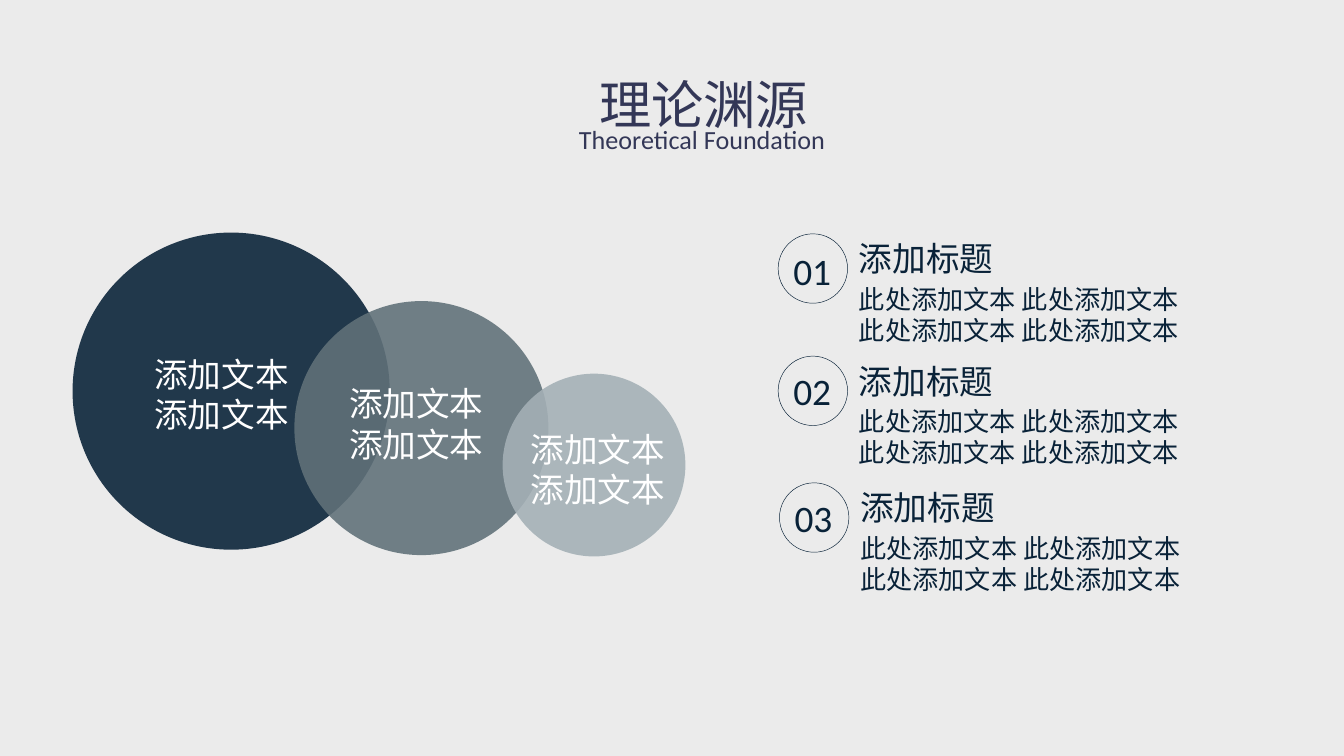
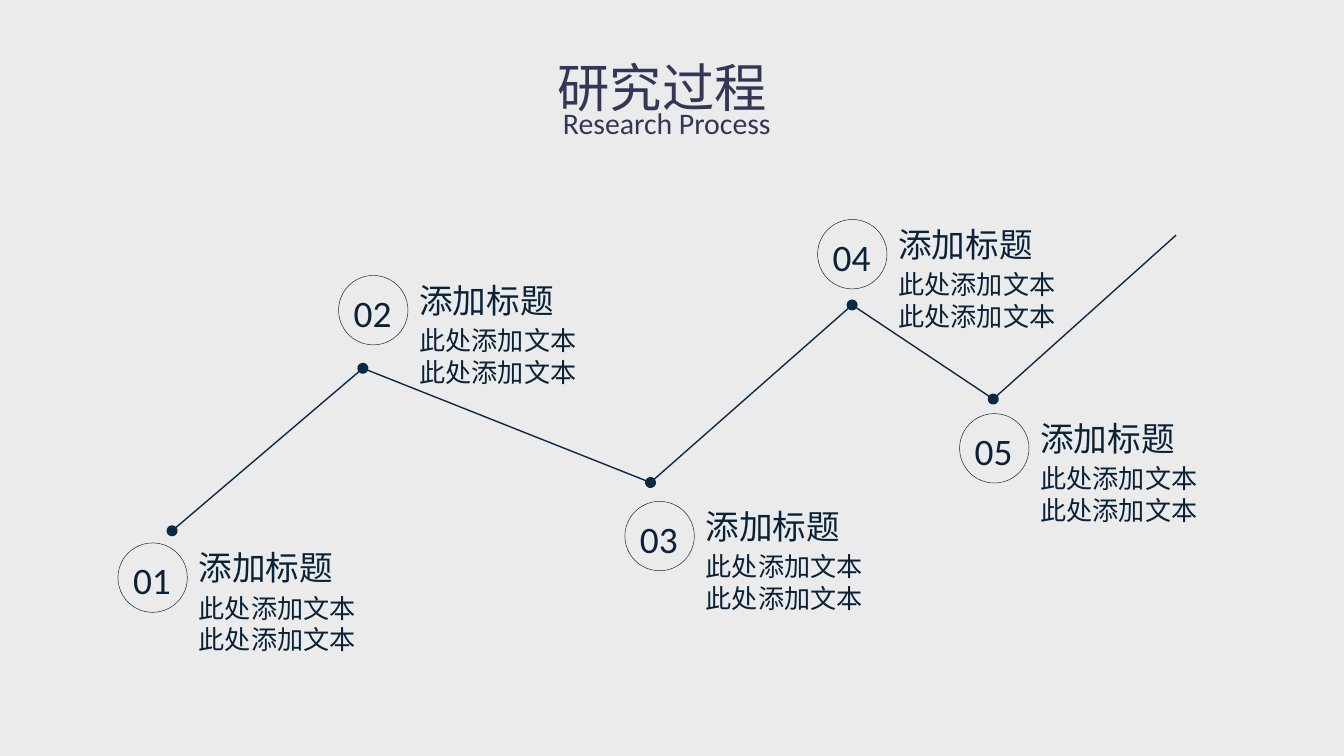
"""Two slides: overlapping circles with a numbered list, and a zigzag process."""
import itertools

import lxml.etree
import pptx
import pptx.dml.color
import pptx.enum.shapes
import pptx.enum.text
import pptx.oxml.ns
import pptx.util

Pt = pptx.util.Pt
RGBColor = pptx.dml.color.RGBColor

BACKGROUND = RGBColor(0xEB, 0xEB, 0xEB)
NAVY = RGBColor(0x09, 0x22, 0x38)
LINE_NAVY = RGBColor(0x0B, 0x29, 0x45)
SLATE = RGBColor(0x60, 0x71, 0x79)
MIST = RGBColor(0xA4, 0xB0, 0xB6)
INDIGO = RGBColor(0x33, 0x37, 0x57)
WHITE = RGBColor(0xFF, 0xFF, 0xFF)
CHINESE_FONT = "Noto Sans CJK SC"
LATIN_FONT = "Calibri"
BADGE_SIZE = 37.2


def add_xml(parent, tag, **attributes):
    """Append a drawing element to parent."""
    return lxml.etree.SubElement(parent, pptx.oxml.ns.qn(tag), attributes)


def write_text(shape, text, size, color, font=CHINESE_FONT):
    """Fill a shape with left-aligned text, one paragraph per line."""
    frame = shape.text_frame
    frame.word_wrap = True
    frame.auto_size = pptx.enum.text.MSO_AUTO_SIZE.NONE
    frame.vertical_anchor = pptx.enum.text.MSO_ANCHOR.TOP
    frame.margin_left = frame.margin_right = Pt(7.2)
    frame.margin_top = frame.margin_bottom = Pt(3.6)
    if font == CHINESE_FONT:
        frame.margin_top = Pt(3.6 + 0.08 * size)
    for index, line in enumerate(text.split("\n")):
        paragraph = frame.add_paragraph() if index else frame.paragraphs[0]
        paragraph.alignment = pptx.enum.text.PP_ALIGN.LEFT
        run = paragraph.add_run()
        run.text = line
        run.font.size = Pt(size)
        run.font.color.rgb = color
        run.font.name = font
        if font == CHINESE_FONT:
            paragraph.line_spacing = Pt(1.2 * size)
            add_xml(run._r.get_or_add_rPr(), "a:ea", typeface=font)


class Deck:
    """Holds the presentation, its style and the current slide."""

    def __init__(self):
        """Start an empty widescreen presentation."""
        self.presentation = pptx.Presentation()
        self.presentation.slide_width = Pt(720)
        self.presentation.slide_height = Pt(405)
        fill = self.presentation.slide_master.background.fill
        fill.solid()
        fill.fore_color.rgb = BACKGROUND
        self.slide = None

    def new_slide(self, title, left, top):
        """Add a slide with its title."""
        layout = self.presentation.slide_layouts.get_by_name("Title Only")
        self.slide = self.presentation.slides.add_slide(layout)
        shape = self.slide.shapes.title
        shape.left, shape.top = Pt(left), Pt(top)
        shape.width, shape.height = Pt(159), Pt(41)
        write_text(shape, title, 28, INDIGO)

    def text(self, text, left, top, width, height, size, **style):
        """Add a text box."""
        box = self.slide.shapes.add_textbox(
            Pt(left), Pt(top), Pt(width), Pt(height))
        write_text(box, text, size, style.pop("color", NAVY), **style)

    def circle(self, left, top, diameter):
        """Add a plain circle without fill or line."""
        shape = self.slide.shapes.add_shape(
            pptx.enum.shapes.MSO_SHAPE.FLOWCHART_CONNECTOR,
            Pt(left), Pt(top), Pt(diameter), Pt(diameter))
        shape.shadow.inherit = False
        shape.fill.background()
        shape.line.fill.background()
        return shape

    def disc(self, left, top, diameter, color):
        """Add a slightly transparent filled circle."""
        shape = self.circle(left, top, diameter)
        shape.fill.solid()
        shape.fill.fore_color.rgb = color
        solid_fill = shape._element.spPr.find(pptx.oxml.ns.qn("a:solidFill"))
        add_xml(solid_fill[0], "a:alpha", val="89000")

    def step(self, number, left, top, body, body_width, number_drop=4.3):
        """Add a ringed number with a heading and body text beside it."""
        self.text(body, left + 36.2, top + 21.6, body_width, 41, 14)
        ring = self.circle(left, top, BADGE_SIZE)
        ring.line.color.rgb = NAVY
        ring.line.width = Pt(0.25)
        self.text("添加标题", left + 36.2, top - 2.7, 91.4, 28.8, 18)
        self.text(f"{number:02}", left + 1, top + number_drop, BADGE_SIZE, 31.7,
                  20, font=LATIN_FONT)

    def segment(self, start, end):
        """Add a thin line with a dot at its start."""
        connector = self.slide.shapes.add_connector(
            pptx.enum.shapes.MSO_CONNECTOR.STRAIGHT,
            *(Pt(value) for value in (*start, *end)))
        connector.line.color.rgb = LINE_NAVY
        connector.line.width = Pt(0.75)
        line = connector._element.spPr.find(pptx.oxml.ns.qn("a:ln"))
        add_xml(line, "a:headEnd", type="oval")
        add_xml(connector._element.spPr, "a:effectLst")


def build_foundation(deck):
    """Build the slide of circles and list."""
    deck.new_slide("理论渊源", 313.9, 33.1)
    deck.text("Theoretical Foundation", 303.1, 62.6, 150, 24.5, 14,
              color=INDIGO, font=LATIN_FONT)
    for disc in ((38.9, 124.6, 169.9, NAVY), (157.7, 161.3, 136.1, SLATE),
                 (269.3, 200.2, 97.9, MIST)):
        deck.disc(*disc)
    for left, top in ((75.6, 184.3), (180, 200.2), (277.2, 224.6)):
        deck.text("添加文本\n添加文本", left, top, 96.5, 51.1, 18, color=WHITE)
    body = "此处添加文本 此处添加文本 \n此处添加文本 此处添加文本"
    steps = ((416.9, 125.3, 4.3), (416.9, 190.8, 2.9), (417.6, 258.7, 2.9))
    for number, (left, top, drop) in enumerate(steps, 1):
        deck.step(number, left, top, body, 196.6, drop)


def build_process(deck):
    """Build the slide of the zigzag process."""
    deck.new_slide("研究过程", 291.6, 23.8)
    deck.text("Research Process", 294.5, 52.6, 134, 26.6, 16,
              color=INDIGO, font=LATIN_FONT)
    nodes = ((92.2, 284.4), (194.4, 197.3), (348.5, 258.5),
             (456.5, 163.4), (532.1, 213.8), (630, 126))
    for start, end in itertools.pairwise(nodes):
        deck.segment(start, end)
    body = "此处添加文本 \n此处添加文本 "
    steps = ((63.2, 290.9), (181.4, 147.6), (334.8, 268.6),
             (438, 117.6), (514.1, 221.6))
    for number, (left, top) in enumerate(steps, 1):
        deck.step(number, left, top, body, 106.6)


def main():
    """Build and save the presentation."""
    deck = Deck()
    build_foundation(deck)
    build_process(deck)
    deck.presentation.save("out.pptx")


main()
